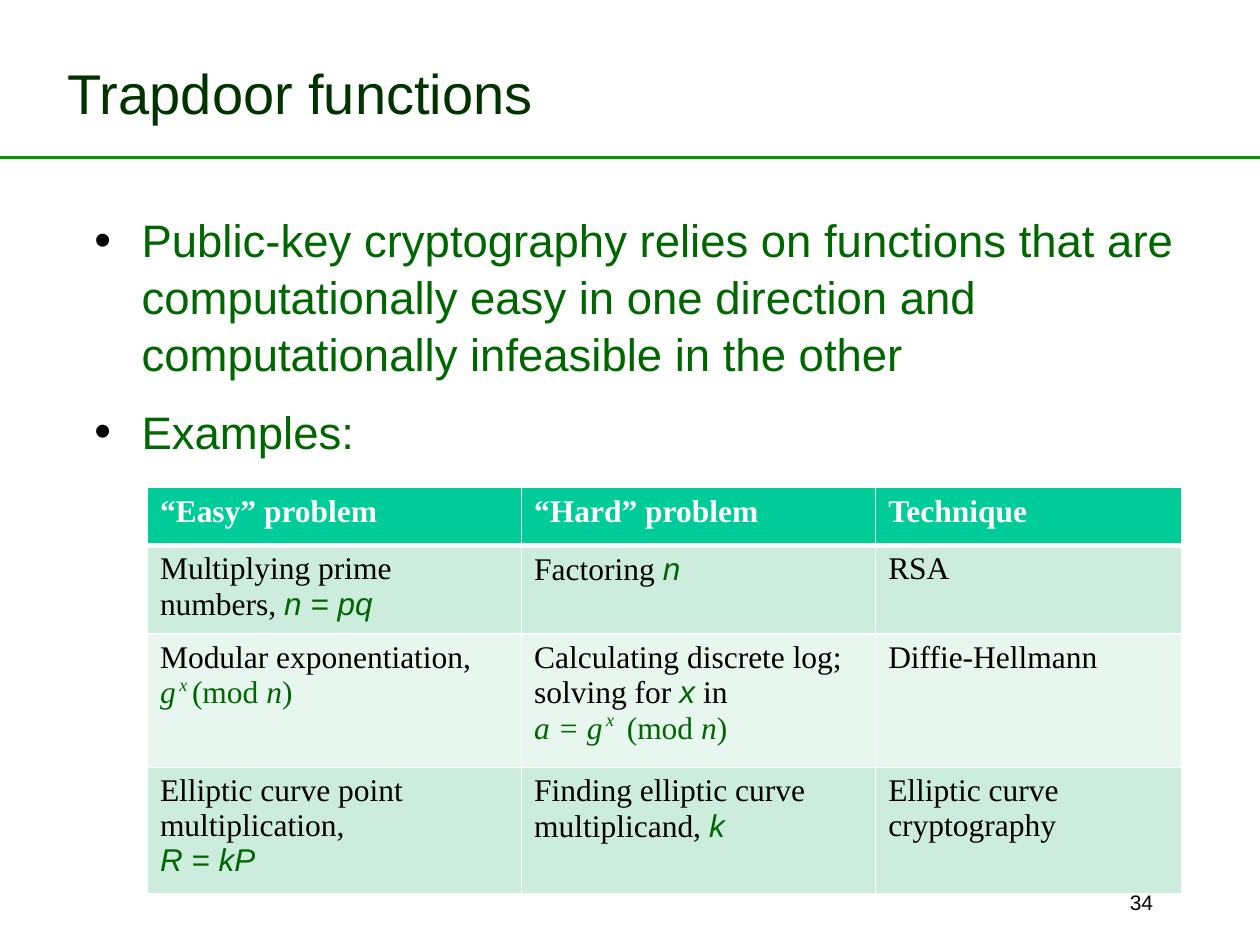
from dataclasses import dataclass
from typing import NamedTuple

from lxml.etree import SubElement as Sub
from pptx import Presentation
from pptx.dml.color import RGBColor
from pptx.enum.shapes import MSO_CONNECTOR as Conn
from pptx.enum.text import MSO_ANCHOR as Anchor, PP_ALIGN as Align
from pptx.oxml.ns import qn
from pptx.util import Inches, Pt

# Grid of 100 columns by 75 rows, each a tenth of an inch
COLS, ROWS = 100, 75
SANS, SERIF = "Arial", "Times New Roman"
GREEN, DARK, BLACK, WHITE = "006600", "003300", "000000", "FFFFFF"


def unit(n: float) -> int:
    return Inches(n / 10)


def tint(code: str) -> RGBColor:
    return RGBColor.from_string(code)


@dataclass
class Style:
    size: float
    face: str
    color: str
    bold: bool = False
    slant: bool = False
    raised: bool = False


class Box(NamedTuple):
    x: float
    y: float
    w: float
    h: float


HEAD = Style(18, SERIF, WHITE, bold=True)
PLAIN = Style(18, SERIF, BLACK)
VAR = Style(18, SANS, GREEN, slant=True)
MATH = Style(18, SERIF, GREEN, slant=True)
ROMAN = Style(18, SERIF, GREEN)
GAP = Style(8, SERIF, BLACK, slant=True)
POWER = Style(18, SERIF, GREEN, slant=True, raised=True)
BREAK = ("\n", PLAIN)


def power(base: str, mod: str) -> list:
    """A base with a raised x, followed by its modulus."""
    return [(base, MATH), (" ", GAP), ("x ", POWER),
            (mod, ROMAN), (" n", MATH), (")", ROMAN)]


def dress(run, style: Style) -> None:
    font = run.font
    font.size, font.name = Pt(style.size), style.face
    font.bold, font.italic = style.bold, style.slant
    font.color.rgb = tint(style.color)
    if style.raised:
        run._r.get_or_add_rPr().set("baseline", "40000")


def write(slide, box: Box, lines: list[str], style: Style):
    """Add a wrapped text box and return its frame."""
    frame = slide.shapes.add_textbox(*map(unit, box)).text_frame
    frame.word_wrap = True
    frame.text = "\n".join(lines)
    for para in frame.paragraphs:
        for run in para.runs:
            dress(run, style)
    return frame


def bullet(para) -> None:
    props = para._p.get_or_add_pPr()
    props.set("marL", str(unit(3.75)))
    props.set("indent", str(-unit(3.75)))
    Sub(Sub(props, qn("a:buClr")), qn("a:srgbClr")).set("val", BLACK)
    Sub(props, qn("a:buSzPct")).set("val", "105000")
    Sub(props, qn("a:buFont")).set("typeface", SANS)
    Sub(props, qn("a:buChar")).set("char", "•")


def border(cell, low: float) -> None:
    """White edges, with the lower one of the given width."""
    props = cell._tc.get_or_add_tcPr()
    for n, (tag, width) in enumerate((("lnL", 1), ("lnR", 1), ("lnT", 1), ("lnB", low))):
        edge = props.makeelement(qn("a:" + tag), {"w": str(Pt(width))})
        Sub(Sub(edge, qn("a:solidFill")), qn("a:srgbClr")).set("val", WHITE)
        props.insert(n, edge)


def fill(cell, parts: list, color: str, low: float) -> None:
    cell.fill.solid()
    cell.fill.fore_color.rgb = tint(color)
    border(cell, low)
    para = cell.text_frame.paragraphs[0]
    for part, style in parts:
        if part == "\n":
            para.add_line_break()
            continue
        run = para.add_run()
        run.text = part
        dress(run, style)


TABLE = [
    [[("“Easy” problem", HEAD)], [("“Hard” problem", HEAD)], [("Technique", HEAD)]],
    [[("Multiplying prime numbers, ", PLAIN), ("n = pq", VAR)],
     [("Factoring ", PLAIN), ("n", VAR)],
     [("RSA", PLAIN)]],
    [[("Modular exponentiation, ", PLAIN), BREAK, *power("g", "(mod")],
     [("Calculating discrete log; solving for ", PLAIN), ("x", VAR),
      (" in ", PLAIN), BREAK, *power("a = g", " (mod")],
     [("Diffie-Hellmann", PLAIN)]],
    [[("Elliptic curve point multiplication, ", PLAIN), BREAK, ("R = kP", VAR)],
     [("Finding elliptic curve multiplicand, ", PLAIN), ("k", VAR)],
     [("Elliptic curve cryptography", PLAIN)]],
]
WIDTHS = (29.7, 28.1, 24.3)
HEIGHTS = (4.6, 7, 10.6, 10)
FILLS = ("00CC99", "CCECDE", "E7F6EF", "CCECDE")


def grid(slide, x: float, y: float) -> None:
    size = Box(x, y, sum(WIDTHS), sum(HEIGHTS))
    table = slide.shapes.add_table(len(TABLE), len(WIDTHS), *map(unit, size)).table
    for col, width in zip(table.columns, WIDTHS):
        col.width = unit(width)
    for r, row in enumerate(TABLE):
        table.rows[r].height = unit(HEIGHTS[r])
        for c, parts in enumerate(row):
            fill(table.cell(r, c), parts, FILLS[r], 1 if r else 3)


def main() -> None:
    deck = Presentation()
    deck.slide_width, deck.slide_height = unit(COLS), unit(ROWS)
    slide = deck.slides.add_slide(deck.slide_layouts[6])

    # Rule under the title
    rule = slide.shapes.add_connector(
        Conn.STRAIGHT, unit(COLS), unit(12.5), 0, unit(12.5))
    rule.line.color.rgb = tint("009900")
    rule.line.width = Pt(2.25)
    Sub(rule._element.spPr, qn("a:effectLst"))

    # Page number
    page = write(slide, Box(71.7, 70.1, 20.8, 3.2), ["34"], Style(12, SANS, BLACK))
    page.paragraphs[0].alignment = Align.RIGHT

    # Title
    title = write(slide, Box(4.4, 2.1, 89.7, 10.4), ["Trapdoor functions"],
                  Style(32, SANS, DARK))
    title.vertical_anchor = Anchor.MIDDLE

    # Bulleted points
    body = write(slide, Box(6.5, 16.2, 87.9, 53.4), [
        "Public-key cryptography relies on functions that are computationally "
        "easy in one direction and computationally infeasible in the other",
        "Examples:",
    ], Style(26, SANS, GREEN))
    for para in body.paragraphs:
        bullet(para)
        para.line_spacing = 1.04
    body.paragraphs[1].space_before = Pt(12.2)

    # Table of examples
    grid(slide, 11.7, 38.7)
    deck.save("out.pptx")


if __name__ == "__main__":
    main()
